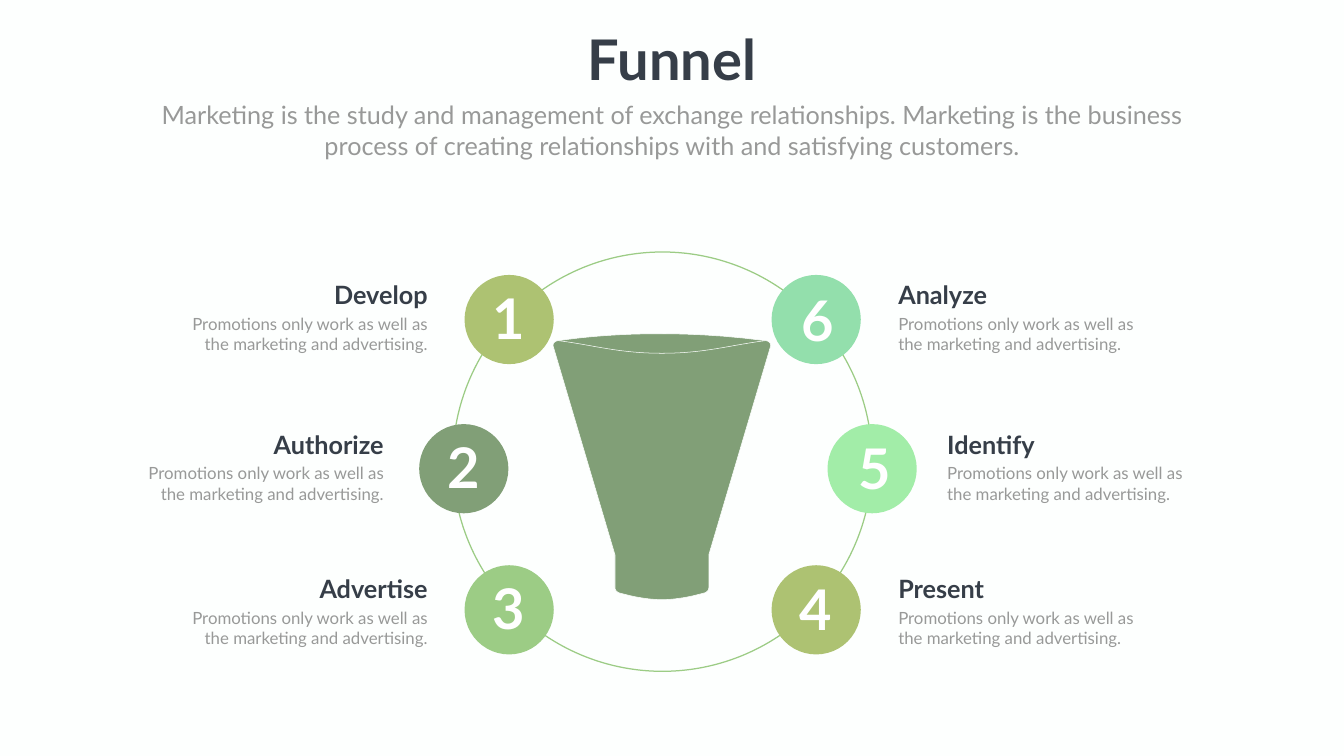
import pptx
import pptx.util
import pptx.dml.color
import pptx.enum.shapes
import pptx.enum.text

COLORS = {
    "paper": "FDFFFE", "white": "FFFFFF", "ink": "363E48", "grey": "989998",
    "leaf": "9CCC85", "sage": "819F77", "olive": "ADC272",
    "lime": "A2EDA8", "mint": "93DFAC",
}
FONT = "Lato"
WIDTH, HEIGHT = 26.66, 15

TITLE = "Funnel"
INTRO = ("Marketing is the study and management of exchange relationships. Marketing is the "
         "business process of creating relationships with and satisfying customers.")
DETAIL = "Promotions only work as well as the marketing and advertising."

COLUMNS = {
    "outer left": {"badge": 9.2, "label": 7.71},
    "inner left": {"badge": 10.1, "label": 8.58},
    "inner right": {"badge": 16.19, "label": 17.72},
    "outer right": {"badge": 17.3, "label": 18.69},
}
ROWS = {
    "top": {"badge": 6.34, "label": 5.5},
    "middle": {"badge": 9.3, "label": 8.46},
    "bottom": {"badge": 12.1, "label": 11.32},
}
STEPS = [
    ("1", "Develop", "inner left", "top", "olive", (0, -0.04)),
    ("2", "Authorize", "outer left", "middle", "sage", (0, -0.04)),
    ("3", "Advertise", "inner left", "bottom", "leaf", (0, -0.04)),
    ("4", "Present", "inner right", "bottom", "olive", (0, -0.02)),
    ("5", "Identify", "outer right", "middle", "lime", (0.05, -0.02)),
    ("6", "Analyze", "inner right", "top", "mint", (0.03, 0)),
]

RING_CENTER, RING_SIZE = (13.14, 9.16), 8.32
BADGE_SIZE = 1.77
DIGIT_WIDTH, DIGIT_HEIGHT = 0.85, 1.45
HEADING_WIDTH, HEADING_HEIGHT = 2.61, 0.71
DETAIL_WIDTH, DETAIL_HEIGHT, DETAIL_DROP = 5.07, 0.91, 0.68

FUNNEL_AXIS = 13.13
RIM_CURVES = [
    [(11.09, 6.76), (11.09, 6.76), (12.86, 6.45), (15.18, 6.76)],
    [(15.18, 6.76), (13.19, 7.98)],
]
LEFT_SIDE_CURVES = [
    [(13.13, 7.01), (12.27, 7.01), (11.79, 6.85), (11.08, 6.76)],
    [(11.08, 6.76), (11.01, 6.76), (10.95, 6.82), (10.98, 6.89)],
    [(10.98, 6.89), (12.2, 11.01)],
    [(12.2, 11.01), (12.2, 11.66)],
    [(12.2, 11.66), (12.2, 11.7), (12.22, 11.73), (12.27, 11.76)],
    [(12.27, 11.76), (12.46, 11.81), (12.74, 11.89), (13.13, 11.9)],
]

PP_ALIGN = pptx.enum.text.PP_ALIGN
inches = pptx.util.Inches


def color(name):
    return pptx.dml.color.RGBColor.from_string(COLORS[name])


def paint(shape, fill=None, line=None, line_width=0.75):
    shape.shadow.inherit = False
    if fill:
        shape.fill.solid()
        shape.fill.fore_color.rgb = color(fill)
    else:
        shape.fill.background()
    if line:
        shape.line.color.rgb = color(line)
        shape.line.width = pptx.util.Pt(line_width)
    else:
        shape.line.fill.background()


def add_circle(slide, center, size, **look):
    left, top = (value - size / 2 for value in center)
    circle = slide.shapes.add_shape(pptx.enum.shapes.MSO_SHAPE.OVAL, inches(left), inches(top),
                                    inches(size), inches(size))
    paint(circle, **look)


def add_text(slide, text, box, size, ink, align, bold=False, wrap=True):
    frame = slide.shapes.add_textbox(*map(inches, box)).text_frame
    frame.word_wrap = wrap
    frame.auto_size = pptx.enum.text.MSO_AUTO_SIZE.SHAPE_TO_FIT_TEXT
    frame.text = text
    paragraph = frame.paragraphs[0]
    paragraph.alignment = align
    font = paragraph.runs[0].font
    font.name, font.size, font.bold = FONT, pptx.util.Pt(size), bold
    font.color.rgb = color(ink)


def trace(curves, steps=16):
    points = [curves[0][0]]
    for curve in curves:
        if len(curve) == 2:
            points.append(curve[1])
            continue
        for step in range(1, steps + 1):
            t = step / steps
            weights = ((1 - t) ** 3, 3 * t * (1 - t) ** 2, 3 * t * t * (1 - t), t ** 3)
            points.append(tuple(sum(w * p[axis] for w, p in zip(weights, curve))
                                for axis in (0, 1)))
    return points


def add_outline(slide, points, **look):
    start, *rest = [(inches(x), inches(y)) for x, y in points]
    builder = slide.shapes.build_freeform(*start, scale=1.0)
    builder.add_line_segments(rest, close=True)
    paint(builder.convert_to_shape(), **look)


def add_label(slide, heading, column, row):
    on_left = column.endswith("left")
    align = PP_ALIGN.RIGHT if on_left else PP_ALIGN.LEFT
    edge, top = COLUMNS[column]["label"], ROWS[row]["label"]
    for text, width, height, drop, size, ink, bold in (
        (heading, HEADING_WIDTH, HEADING_HEIGHT, 0, 36, "ink", True),
        (DETAIL, DETAIL_WIDTH, DETAIL_HEIGHT, DETAIL_DROP, 24, "grey", False),
    ):
        left = edge - width if on_left else edge
        add_text(slide, text, (left, top + drop, width, height), size, ink, align, bold)


def main():
    deck = pptx.Presentation()
    deck.slide_width, deck.slide_height = inches(WIDTH), inches(HEIGHT)
    slide = deck.slides.add_slide(deck.slide_layouts[6])
    slide.background.fill.solid()
    slide.background.fill.fore_color.rgb = color("paper")

    add_circle(slide, RING_CENTER, RING_SIZE, line="leaf", line_width=1.79)
    left_side = trace(LEFT_SIDE_CURVES)
    right_side = [(2 * FUNNEL_AXIS - x, y) for x, y in left_side[-2:0:-1]]
    for outline in (trace(RIM_CURVES), left_side + right_side):
        add_outline(slide, outline, fill="sage", line="paper")

    for digit, heading, column, row, fill, (shift_x, shift_y) in STEPS:
        x, y = COLUMNS[column]["badge"], ROWS[row]["badge"]
        add_circle(slide, (x, y), BADGE_SIZE, fill=fill)
        digit_box = (x + shift_x - DIGIT_WIDTH / 2, y + shift_y - DIGIT_HEIGHT / 2,
                     DIGIT_WIDTH, DIGIT_HEIGHT)
        add_text(slide, digit, digit_box, 80, "white", PP_ALIGN.CENTER, bold=True, wrap=False)
        add_label(slide, heading, column, row)

    for text, width, top, height, size, ink, is_title in (
        (TITLE, 3.63, 0.44, 1.45, 80, "ink", True),
        (INTRO, 20.82, 1.93, 1.31, 36, "grey", False),
    ):
        add_text(slide, text, ((WIDTH - width) / 2, top, width, height), size, ink,
                 PP_ALIGN.CENTER, bold=is_title, wrap=not is_title)

    deck.save("out.pptx")


if __name__ == "__main__":
    main()
